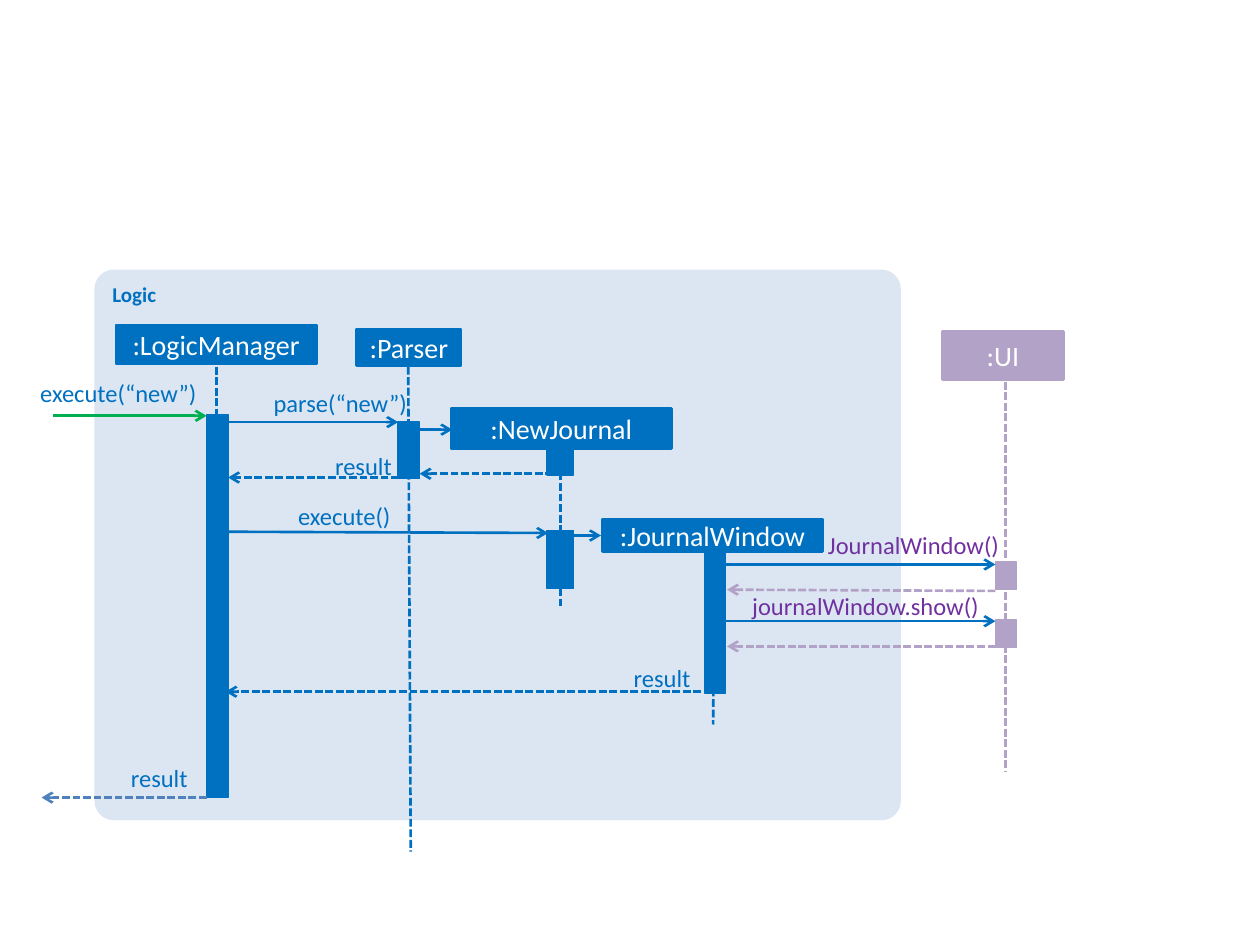
from dataclasses import dataclass

from lxml import etree
from pptx import Presentation
from pptx.dml.color import RGBColor
from pptx.enum import dml, shapes, text
from pptx.oxml.ns import qn
from pptx.util import Inches, Pt

BLUE = RGBColor(0x00, 0x70, 0xC0)
STEEL = RGBColor(0x4F, 0x81, 0xBD)
GREEN = RGBColor(0x00, 0xB0, 0x50)
LILAC = RGBColor(0xB3, 0xA2, 0xC7)
PURPLE = RGBColor(0x70, 0x30, 0xA0)
PALE = RGBColor(0xDC, 0xE6, 0xF2)
WHITE = RGBColor(0xFF, 0xFF, 0xFF)
FONT = "Calibri"

# The slide is a grid of 100 columns by 75 rows of square cells
COLUMNS, ROWS = 100, 75
WIDTH, HEIGHT = Inches(10), Inches(7.5)


@dataclass
class Participant:
    name: str
    head: tuple[float, float, float, float]  # left, top, width, height
    life: tuple[float, float, float, float]  # from column, row, to column, row
    bar_left: float
    bars: list[tuple[float, float]]  # top row, height of each activation
    bar_width: float = 1.7
    color: RGBColor = BLUE


@dataclass
class Message:
    start: tuple[float, float]
    end: tuple[float, float]
    color: RGBColor = BLUE
    reply: bool = False


@dataclass
class Label:
    wording: str
    right: float
    top: float
    width: float
    color: RGBColor = BLUE


PARTICIPANTS = [
    Participant(":LogicManager", (9.2, 25.8, 15.9, 3.1),
                (17.2, 29.1, 17.2, 57.5), 16.4, [(32.9, 30.4)]),
    Participant(":Parser", (28.3, 26.1, 8.3, 2.9),
                (32.4, 29.1, 32.6, 67.6), 31.6, [(33.5, 4.5)]),
    Participant(":NewJournal", (35.8, 32.4, 17.5, 3.2),
                (44.5, 35, 44.5, 48.1), 43.4, [(35.7, 2), (42.1, 4.6)], 2.1),
    Participant(":JournalWindow", (47.8, 41.2, 17.5, 2.6),
                (56.7, 43.8, 56.6, 57.5), 55.9, [(43.8, 11.2)]),
    Participant(":UI", (74.8, 26.3, 9.6, 3.8),
                (79.8, 30.3, 79.8, 61.2), 79, [(44.6, 2.2), (49.2, 2.2)],
                color=LILAC),
]

MESSAGES = [
    Message((4.2, 33), (16.4, 33), GREEN),
    Message((16.5, 33.5), (31.6, 33.5)),
    Message((32.4, 34.1), (35.9, 34.1)),
    Message((43.9, 37.6), (33.3, 37.6), reply=True),
    Message((32.5, 37.9), (18.1, 37.9), reply=True),
    Message((16.9, 42.2), (43.5, 42.3)),
    Message((44.2, 42.5), (47.7, 42.5)),
    Message((57.5, 44.8), (79, 44.8)),
    Message((79, 46.9), (57.7, 46.8), LILAC, True),
    Message((57.4, 49.3), (79, 49.3)),
    Message((79, 51.3), (57.7, 51.3), LILAC, True),
    Message((56.5, 54.9), (17.9, 54.9), reply=True),
    Message((16.4, 63.3), (3.3, 63.3), STEEL, True),
]

LABELS = [
    Label("execute(“new”)", 15.6, 30, 15.6),
    Label("parse(“new”)", 32.3, 30.8, 15.6),
    Label("result", 31.1, 35.8, 4.7),
    Label("execute()", 31, 39.8, 9.4),
    Label("JournalWindow()", 79.3, 42.1, 18.1, PURPLE),
    Label("journalWindow.show()", 77.7, 46.9, 18.1, PURPLE),
    Label("result", 54.8, 52.6, 6.8),
    Label("result", 14.9, 60.6, 8.3),
]


def x(columns: float) -> int:
    return round(WIDTH * columns / COLUMNS)


def y(rows: float) -> int:
    return round(HEIGHT * rows / ROWS)


def write(frame, wording: str, size: float, color: RGBColor, align, bold=False) -> None:
    paragraph = frame.paragraphs[0]
    paragraph.alignment = align
    run = paragraph.add_run()
    run.text = wording
    run.font.name, run.font.size, run.font.bold = FONT, Pt(size), bold
    run.font.color.rgb = color


def draw_block(slide, left, top, width, height, fill, border=None,
               kind=shapes.MSO_SHAPE.RECTANGLE):
    block = slide.shapes.add_shape(kind, x(left), y(top), x(width), y(height))
    block.shadow.inherit = False
    block.fill.solid()
    block.fill.fore_color.rgb = fill
    if border is None:
        block.line.fill.background()
    else:
        block.line.color.rgb = fill
        block.line.width = Pt(border)
    return block


def draw_line(slide, start, end, color: RGBColor, dashed=False, arrow=False) -> None:
    line = slide.shapes.add_connector(
        shapes.MSO_CONNECTOR.STRAIGHT, x(start[0]), y(start[1]), x(end[0]), y(end[1]))
    line.line.color.rgb = color
    line.line.width = Pt(1.5)
    if dashed:
        line.line.dash_style = dml.MSO_LINE.SQUARE_DOT
    if arrow:
        etree.SubElement(line.line._get_or_add_ln(), qn("a:tailEnd"), type="arrow")
    etree.SubElement(line._element.spPr, qn("a:effectLst"))


def draw_participant(slide, who: Participant) -> None:
    draw_line(slide, who.life[:2], who.life[2:], who.color, dashed=True)
    for top, height in who.bars:
        draw_block(slide, who.bar_left, top, who.bar_width, height, who.color, 0.75)
    head = draw_block(slide, *who.head, who.color, 1.5)
    head.text_frame.vertical_anchor = text.MSO_ANCHOR.MIDDLE
    write(head.text_frame, who.name, 16, WHITE, text.PP_ALIGN.CENTER)


def draw_label(slide, label: Label) -> None:
    box = slide.shapes.add_textbox(
        x(label.right - label.width), y(label.top), x(label.width), y(2.4))
    frame = box.text_frame
    frame.word_wrap = True
    frame.auto_size = text.MSO_AUTO_SIZE.SHAPE_TO_FIT_TEXT
    frame.margin_left = frame.margin_right = frame.margin_top = frame.margin_bottom = 0
    write(frame, label.wording, 14, label.color, text.PP_ALIGN.RIGHT)


def main() -> None:
    deck = Presentation()
    deck.slide_width, deck.slide_height = WIDTH, HEIGHT
    slide = deck.slides.add_slide(deck.slide_layouts[6])

    # Logic component
    logic = draw_block(slide, 7.5, 21.4, 64, 43.7, PALE,
                       kind=shapes.MSO_SHAPE.ROUNDED_RECTANGLE)
    logic.adjustments[0] = 0.035
    logic.text_frame.vertical_anchor = text.MSO_ANCHOR.TOP
    write(logic.text_frame, "Logic", 12, BLUE, text.PP_ALIGN.LEFT, bold=True)

    # Participants with lifelines and activations
    for participant in PARTICIPANTS:
        draw_participant(slide, participant)

    # Calls and replies
    for message in MESSAGES:
        draw_line(slide, message.start, message.end, message.color,
                  dashed=message.reply, arrow=True)
    for label in LABELS:
        draw_label(slide, label)

    deck.save("out.pptx")


if __name__ == "__main__":
    main()
